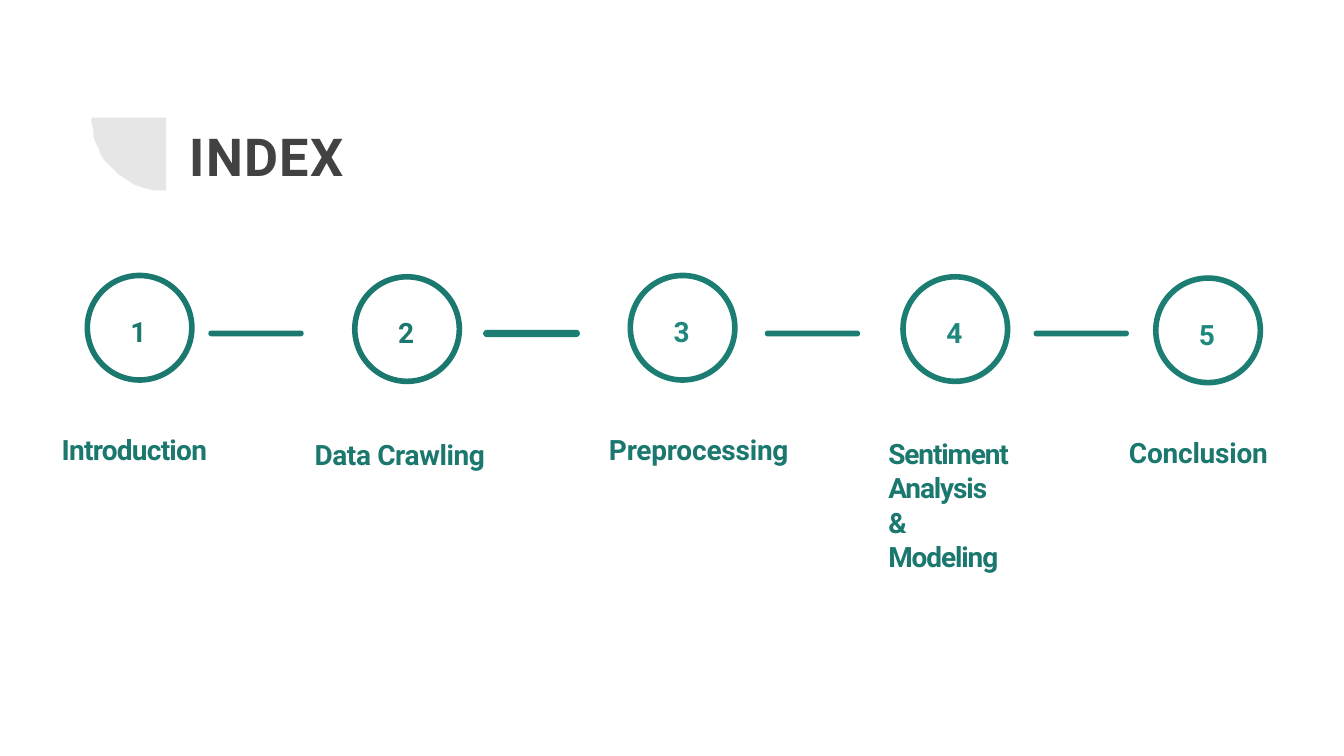
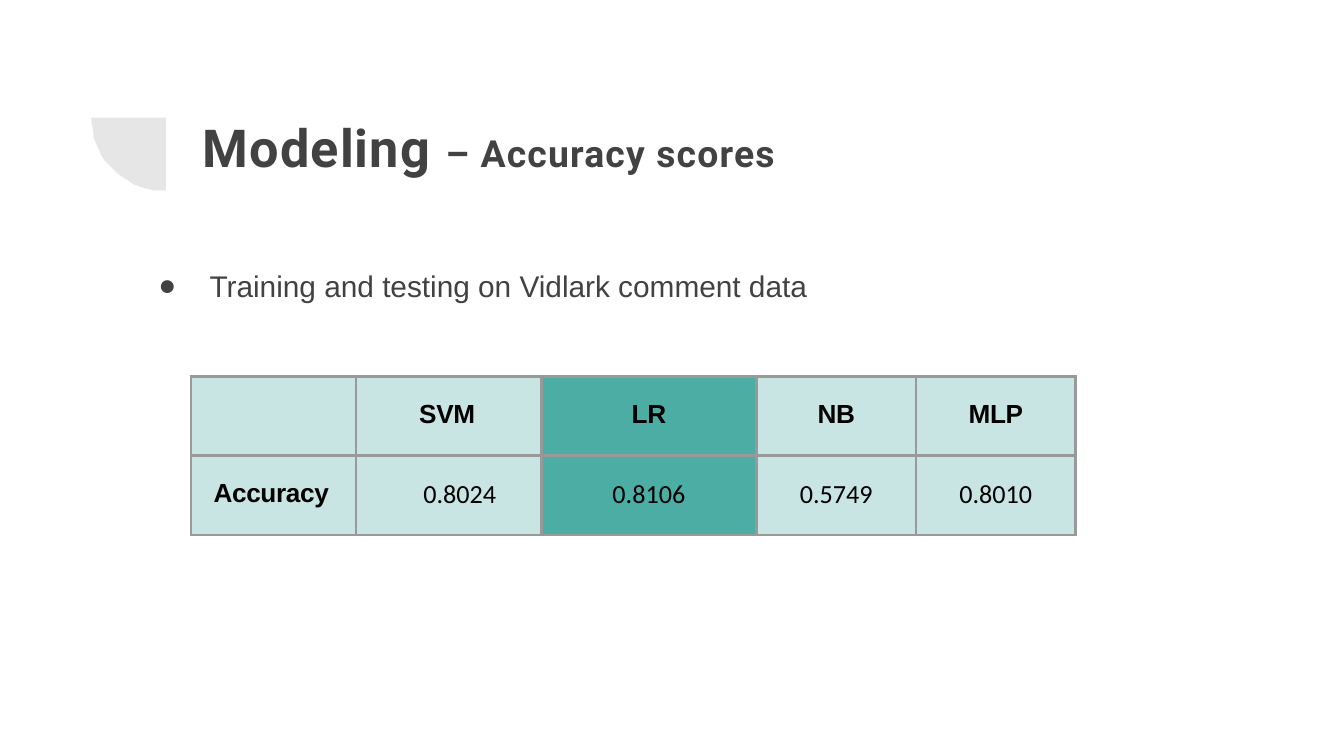
import math
from collections import namedtuple
from dataclasses import dataclass

import pptx
import pptx.dml.color
import pptx.enum.shapes
import pptx.enum.text
import pptx.oxml
import pptx.oxml.ns
import pptx.util

Pt = pptx.util.Pt
Align = pptx.enum.text.PP_ALIGN
Shape = pptx.enum.shapes.MSO_SHAPE
Box = namedtuple("Box", "left top width height")
Step = namedtuple("Step", "shift drop ring digit label inset width lower extra")


@dataclass(frozen=True)
class Theme:
    ink: str = "424242"
    deep: str = "1B786E"
    teal: str = "1C7E73"
    light: str = "1F887E"
    cell: str = "249B90"
    rule: str = "999999"
    black: str = "000000"
    head: str = "Roboto"
    body: str = "Arial"
    digit: str = "Calibri"
    title: float = 28
    sub: float = 20
    text: float = 16
    label: float = 15
    table: float = 14


THEME = Theme()

STEPS = [
    Step(0, 0, THEME.deep, THEME.deep, ["Introduction"], -14.4, 84.2, 83.5,
         dict(spc=-0.4)),
    Step(143.3, 0.7, THEME.deep, THEME.deep, ["Data Crawling"], -22.3, 99.4, 82.1,
         dict(spc=-0.2, left=30.2, hang=-29.5, lines=1.17)),
    Step(290.9, 0, THEME.teal, THEME.light, ["Preprocessing"], -12.2, 99.4, 83.5,
         dict(spc=-0.1)),
    Step(437, 0.7, THEME.teal, THEME.light, ["Sentiment Analysis", "& Modeling"],
         -8.6, 72.7, 85, dict(spc=-0.6)),
    Step(572.4, 1.4, THEME.teal, THEME.light, ["Conclusion"], -15.1, 85, 83.5,
         dict(spc=-0.1)),
]
BARS = [(64.8, THEME.deep), (212.4, THEME.teal), (362.9, THEME.teal),
        (506.9, THEME.teal)]
SCORES = [("SVM", "0.8024"), ("LR", "0.8106"), ("NB", "0.5749"), ("MLP", "0.8010")]
COLS = [88.6, 99.3, 115.2, 85.5, 85.5]
BEST = 2


def rgb(code):
    return pptx.dml.color.RGBColor.from_string(code)


def place(shape, box):
    shape.left, shape.top, shape.width, shape.height = map(Pt, box)


def fade(fill, code, share):
    """Fill with a colour that covers the given percentage."""
    fill.solid()
    fill.fore_color.rgb = rgb(code)
    node = fill._xPr.find(".//" + pptx.oxml.ns.qn("a:srgbClr"))
    node.append(pptx.oxml.parse_xml(
        f'<a:alpha {pptx.oxml.ns.nsdecls("a")} val="{share * 1000}"/>'))


def write(para, text, size=THEME.label, color=THEME.deep, font=THEME.head, bold=True,
          spc=0, left=0.7, hang=0, before=1, align=Align.LEFT, lines=None):
    """Add one run to a paragraph and set the format of both."""
    para.alignment = align
    para.space_before = Pt(before)
    if lines:
        para.line_spacing = lines
    props = para._p.get_or_add_pPr()
    props.set("marL", str(Pt(left)))
    props.set("indent", str(Pt(hang)))
    run = para.add_run()
    run.text = text
    run.font.size, run.font.name, run.font.bold = Pt(size), font, bold
    run.font.color.rgb = rgb(color)
    run._r.get_or_add_rPr().set("spc", str(round(spc * 100)))


def frame(shape, top=0.7, right=0):
    """Prepare the text frame of a shape and return it."""
    area = shape.text_frame
    area.word_wrap = True
    area.auto_size = pptx.enum.text.MSO_AUTO_SIZE.SHAPE_TO_FIT_TEXT
    area.vertical_anchor = pptx.enum.text.MSO_ANCHOR.TOP
    area.margin_left = area.margin_bottom = 0
    area.margin_top, area.margin_right = Pt(top), Pt(right)
    return area


def label(slide, box, texts, right=0, **form):
    area = frame(slide.shapes.add_textbox(*map(Pt, box)), right=right)
    for i, text in enumerate(texts):
        para = area.add_paragraph() if i else area.paragraphs[0]
        write(para, text, **form)


def corner(deck, slide, box):
    """Draw the quarter disc and hang it on the master."""
    arc = [math.radians(90 + 5 * i) for i in range(19)]
    edge = [(box.left + box.width + box.width * math.cos(a),
             box.top + box.height * math.sin(a)) for a in arc]
    pen = slide.shapes.build_freeform(box.left + box.width, box.top, scale=Pt(1))
    pen.add_line_segments(edge, close=True)
    disc = pen.convert_to_shape()
    disc.shadow.inherit = False
    disc.line.fill.background()
    fade(disc.fill, THEME.ink, 13)
    deck.slide_master.element.cSld.spTree.append(disc.element)


def title(slide, box, *runs, spc):
    shape = slide.shapes.title
    place(shape, box)
    para = frame(shape, top=2.9).paragraphs[0]
    for text, size in runs:
        write(para, text, size=size, color=THEME.ink, spc=spc, before=3.1)


def stage(slide, box, num, step):
    """Draw a numbered ring with its label below."""
    ring = slide.shapes.add_shape(Shape.OVAL, *map(Pt, box))
    ring.shadow.inherit = False
    ring.fill.background()
    ring.line.color.rgb = rgb(step.ring)
    ring.line.width = Pt(3)
    label(slide, Box(box.left + 22.4, box.top + 20.2, 10.8, 20.2), [str(num)],
          color=step.digit, spc=-0.2)
    rows = len(step.label)
    label(slide, Box(box.left + step.inset, box.top + step.lower, step.width,
                     20.2 if rows == 1 else 74.9),
          step.label, right=0 if rows == 1 else 4, **step.extra)


def bar(slide, box, color, edge):
    shape = slide.shapes.add_shape(Shape.ROUNDED_RECTANGLE, *map(Pt, box))
    shape.adjustments[0] = 0.5
    shape.shadow.inherit = False
    shape.fill.solid()
    shape.fill.fore_color.rgb = rgb(color)
    if edge:
        shape.line.color.rgb = rgb(color)
        shape.line.width = Pt(0.75)
    else:
        shape.line.fill.background()


def index(slide, box):
    title(slide, Box(100.8, 63.4, 399.6, 36.7), ("INDEX", THEME.title), spc=0.8)
    for num, step in enumerate(STEPS, 1):
        stage(slide, Box(box.left + step.shift, box.top + step.drop, 56, 56),
              num, step)
    for i, (shift, color) in enumerate(BARS):
        bar(slide, Box(box.left + shift, box.top + 29.5, 51.1, 3.1), color, i == 1)


def bullet(slide, box, text):
    shape = slide.placeholders[1]
    place(shape, box)
    para = frame(shape).paragraphs[0]
    write(para, text, size=THEME.text, color=THEME.ink, font=THEME.body, bold=False,
          left=28.8, hang=-27.4)
    para._p.get_or_add_pPr().append(pptx.oxml.parse_xml(
        f'<a:buChar {pptx.oxml.ns.nsdecls("a")} char="●"/>'))


def border(cell):
    props = cell._tc.get_or_add_tcPr()
    for i, side in enumerate("LRTB"):
        props.insert(i, pptx.oxml.parse_xml(
            f'<a:ln{side} {pptx.oxml.ns.nsdecls("a")} w="{Pt(1.5)}"><a:solidFill>'
            f'<a:srgbClr val="{THEME.rule}"/></a:solidFill></a:ln{side}>'))


def grid(slide, box):
    """Draw the score table, with the best model in a stronger tint."""
    table = slide.shapes.add_table(2, len(COLS), *map(Pt, box)).table
    table.first_row = table.horz_banding = False
    for col, width in zip(table.columns, COLS):
        col.width = Pt(width)
    names, marks = zip(*SCORES)
    lefts = {(0, 1): 33.8, (1, 0): 12.2, (1, 1): 36}
    for r, row in enumerate([("", *names), ("Accuracy", *marks)]):
        table.rows[r].height = Pt(box.height / 2)
        for c, text in enumerate(row):
            cell = table.cell(r, c)
            fade(cell.fill, THEME.cell, 82 if c == BEST else 25)
            border(cell)
            cell.margin_left = cell.margin_right = cell.margin_bottom = 0
            cell.margin_top = Pt(12.4)
            if not text:
                continue
            mark = r == 1 and c > 0
            write(cell.text_frame.paragraphs[0], text, size=THEME.table,
                  color=THEME.black, font=THEME.digit if mark else THEME.body,
                  bold=not mark, spc=0 if mark else -0.2, before=12.4,
                  left=lefts.get((r, c), 0),
                  align=Align.LEFT if (r, c) in lefts else Align.CENTER)


def scores(slide, box):
    title(slide, Box(108, 59, 399.6, 36.7), ("Modeling ", THEME.title),
          ("– Accuracy scores", THEME.sub), spc=0.6)
    bullet(slide, Box(box.left - 18.7, box.top - 59, 396.7, 20.2),
           "Training and testing on Vidlark comment data")
    grid(slide, box)


def main():
    deck = pptx.Presentation()
    deck.slide_width, deck.slide_height = Pt(720), Pt(405)
    first = deck.slides.add_slide(deck.slide_layouts[5])
    corner(deck, first, Box(49, 62.8, 39.6, 39.6))
    index(first, Box(46.8, 147.6, 628.4, 57.4))
    second = deck.slides.add_slide(deck.slide_layouts[1])
    scores(second, Box(102.2, 201.6, sum(COLS), 85))
    deck.save("out.pptx")


if __name__ == "__main__":
    main()
